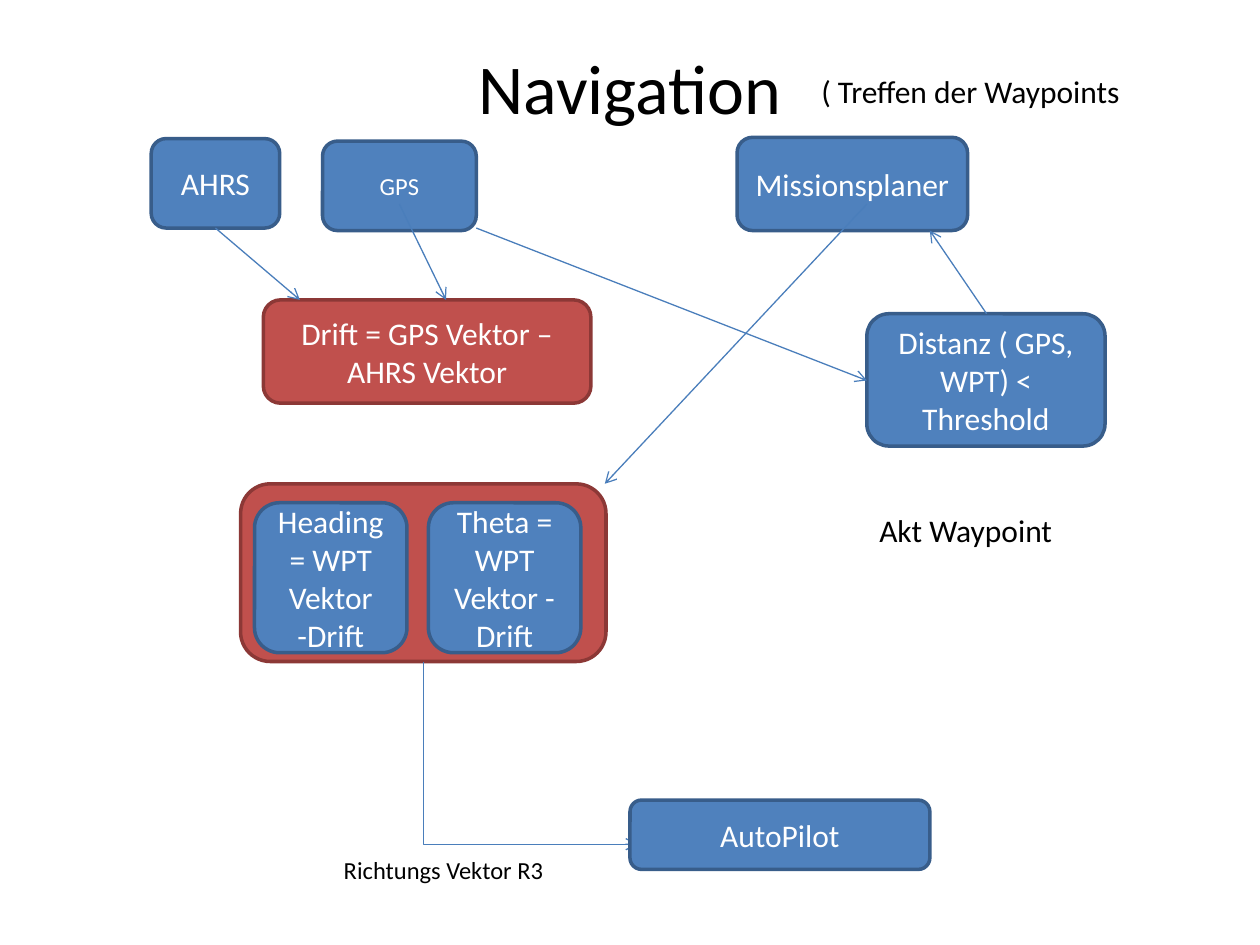
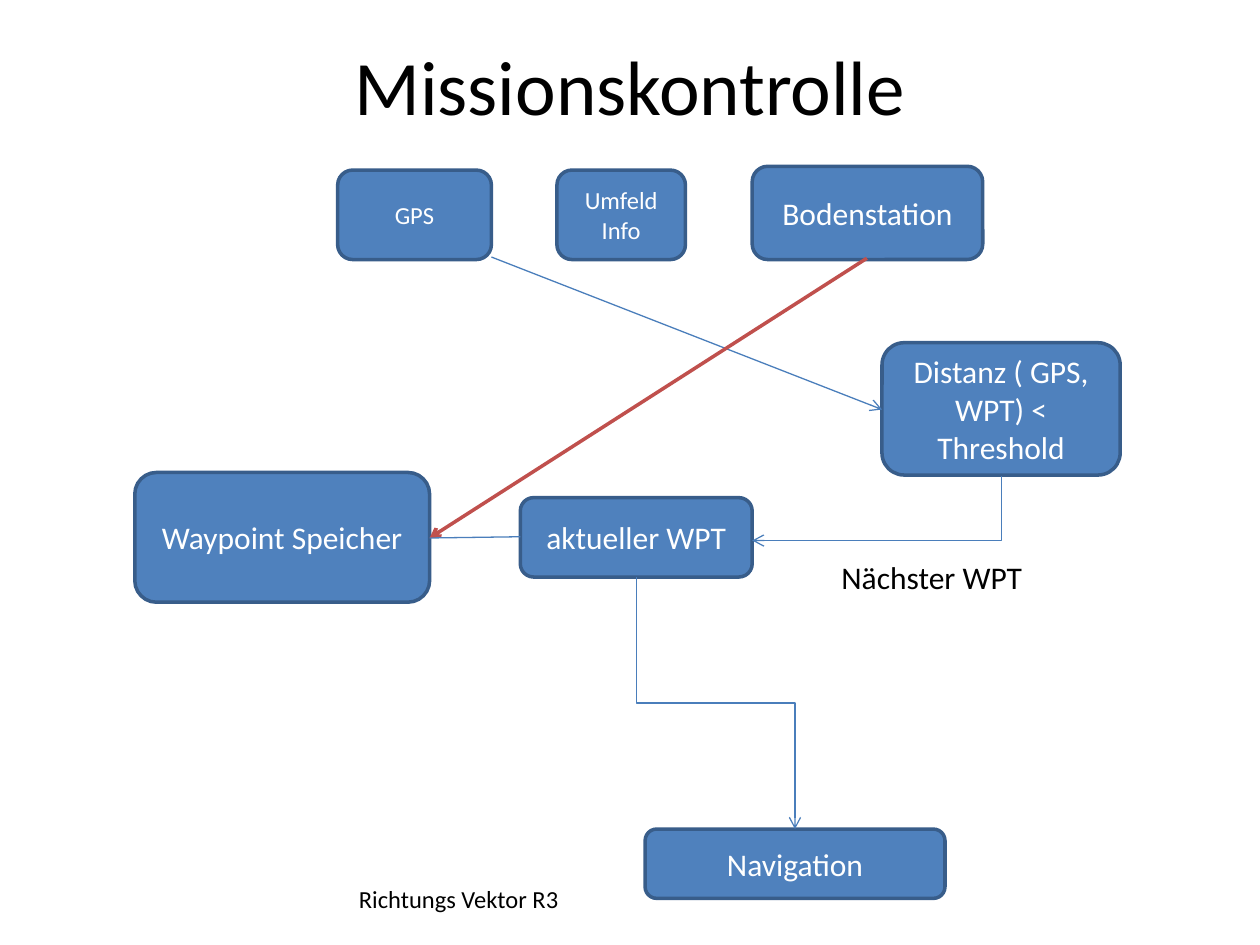
"""Build two flow charts on navigation and mission control."""
from dataclasses import dataclass
from typing import Any, Union

from lxml import etree
from pptx import Presentation, util as u
from pptx.dml import color
from pptx.enum import shapes, text
from pptx.oxml import ns

HUES = {
    "blue": "4F81BD", "navy": "385D8A", "wire": "4A7EBB",
    "red": "C0504D", "wine": "8C3836", "white": "FFFFFF", "black": "000000",
}
FACE = "Calibri"
EDGES = {"blue": "navy", "red": "wine"}
SHIFT_X, SHIFT_Y = 0.12, 0.23


@dataclass(frozen=True)
class Box:
    x: float
    y: float
    wide: float
    high: float
    words: str = ""
    size: int = 18
    fill: str = "blue"


@dataclass(frozen=True)
class Note:
    x: float
    y: float
    wide: float
    high: float
    words: str
    size: int = 18
    wrap: bool = False


@dataclass(frozen=True)
class Wire:
    x: float
    y: float
    end_x: float
    end_y: float
    hue: str = "wire"
    width: float = 0.75
    head: bool = True
    bend: str = ""


Part = Union[Box, Note, Wire]


def shade(name: str) -> color.RGBColor:
    """Return a named colour."""
    return color.RGBColor.from_string(HUES[name])


def assign(target: Any, values: dict[str, Any]) -> None:
    """Set each value on the target."""
    for name, value in values.items():
        setattr(target, name, value)


def place(shape: Any, x: float, y: float, wide: float, high: float) -> None:
    """Move and size a shape in inches."""
    assign(shape, {"left": u.Inches(x), "top": u.Inches(y),
                   "width": u.Inches(wide), "height": u.Inches(high)})


def write(frame: Any, words: str, size: int, hue: str, align: Any,
          form: dict[str, Any]) -> None:
    """Fill a text frame with one styled paragraph."""
    frame.text = words
    assign(frame, form)
    line = frame.paragraphs[0]
    line.alignment = align
    font = line.runs[0].font
    assign(font, {"name": FACE, "size": u.Pt(size)})
    font.color.rgb = shade(hue)


def draw_box(slide: Any, box: Box) -> None:
    """Draw a rounded box with centred text."""
    spot = [u.Inches(n) for n in (box.x, box.y, box.wide, box.high)]
    shape = slide.shapes.add_shape(shapes.MSO_SHAPE.ROUNDED_RECTANGLE, *spot)
    shape.shadow.inherit = False
    shape.fill.solid()
    shape.fill.fore_color.rgb = shade(box.fill)
    shape.line.color.rgb = shade(EDGES[box.fill])
    shape.line.width = u.Pt(2)
    if box.words:
        write(shape.text_frame, box.words, box.size, "white",
              text.PP_ALIGN.CENTER,
              {"word_wrap": True, "vertical_anchor": text.MSO_ANCHOR.MIDDLE})


def draw_note(slide: Any, note: Note) -> None:
    """Draw a plain label."""
    spot = [u.Inches(n) for n in (note.x, note.y, note.wide, note.high)]
    frame = slide.shapes.add_textbox(*spot).text_frame
    write(frame, note.words, note.size, "black", text.PP_ALIGN.LEFT,
          {"word_wrap": note.wrap,
           "auto_size": text.MSO_AUTO_SIZE.SHAPE_TO_FIT_TEXT})


def draw_wire(slide: Any, wire: Wire) -> None:
    """Draw a straight line, or a bent one that starts downwards."""
    ends = (wire.x, wire.y, wire.end_x, wire.end_y)
    kind = shapes.MSO_CONNECTOR.STRAIGHT
    right = wire.end_x > wire.x
    if wire.bend:
        kind = shapes.MSO_CONNECTOR.ELBOW
        mid_x, mid_y = (wire.x + wire.end_x) / 2, (wire.y + wire.end_y) / 2
        half_x = (wire.end_y - wire.y) / 2 * (-1 if right else 1)
        half_y = abs(wire.end_x - wire.x) / 2
        ends = (mid_x - half_x, mid_y - half_y, mid_x + half_x, mid_y + half_y)
    link = slide.shapes.add_connector(kind, *[u.Inches(n) for n in ends])
    link.line.color.rgb = shade(wire.hue)
    link.line.width = u.Pt(wire.width)
    props = link._element.spPr
    if wire.bend:
        link.rotation = 270 if right else 90
        props.find(ns.qn("a:prstGeom")).set("prst", wire.bend)
    if wire.head:
        tail = etree.SubElement(props.find(ns.qn("a:ln")), ns.qn("a:tailEnd"))
        tail.set("type", "arrow")
    etree.SubElement(props, ns.qn("a:effectLst"))


def shared(source: str, target: str, dx: float = 0, dy: float = 0) -> list[Part]:
    """Return the parts found on both slides, moved by an offset."""
    return [
        Note(2.63 + dx, 6.74 + dy, 2.2, 0.34, "Richtungs Vektor R3", 14, True),
        Box(2.56 + dx, 1.12 + dy, 1.22, 0.71, "GPS", 14),
        Box(5.85 + dx, 1.09 + dy, 1.83, 0.74, source),
        Box(5 + dx, 6.35 + dy, 2.38, 0.55, target),
        Box(6.88 + dx, 2.49 + dy, 1.89, 1.05, "Distanz ( GPS, WPT) < Threshold"),
        Wire(3.78 + dx, 1.81 + dy, 6.88 + dx, 3.02 + dy),
    ]


COURSE: list[Part] = [
    Box(1.91, 3.84, 2.9, 1.41, fill="red"),
    Box(1.2, 1.1, 1.02, 0.71, "AHRS"),
    Box(2.02, 3.99, 1.21, 1.19, "Heading = WPT Vektor -Drift"),
    Box(3.4, 3.99, 1.21, 1.19, "Theta = WPT Vektor - Drift"),
    Wire(3.36, 5.25, 5.06, 6.7, bend="bentConnector2"),
    *shared("Missionsplaner", "AutoPilot"),
    Note(6.88, 4.01, 1.59, 0.4, "Akt Waypoint"),
    Box(2.09, 2.38, 2.6, 0.82, "Drift = GPS Vektor – AHRS Vektor", fill="red"),
    Wire(3.17, 1.62, 3.54, 2.38),
    Wire(1.71, 1.81, 2.38, 2.38),
    Note(6.42, 0.52, 4.1, 0.4, "( Treffen der Waypoints", wrap=True),
    Wire(6.88, 1.62, 4.8, 3.84),
    Wire(7.83, 2.49, 7.38, 1.83),
]

MISSION: list[Part] = [
    *shared("Bodenstation", "Navigation", SHIFT_X, SHIFT_Y),
    Box(4.42, 1.35, 1.02, 0.71, "Umfeld Info", 14),
    Box(4.13, 3.95, 1.84, 0.63, "aktueller WPT"),
    Box(1.07, 3.75, 2.34, 1.03, "Waypoint Speicher"),
    Wire(6.88, 2.05, 3.41, 4.27, "red", 2),
    Wire(7.95, 3.78, 5.97, 4.29, bend="bentConnector2"),
    Note(6.58, 4.38, 1.64, 0.4, "Nächster WPT"),
    Wire(5.05, 4.58, 6.31, 6.58, bend="bentConnector3"),
    Wire(4.13, 4.26, 3.41, 4.27, head=False),
]

PAINT = {Box: draw_box, Note: draw_note, Wire: draw_wire}


def add_slide(deck: Any, title: str, size: int, top: float, high: float,
              parts: list[Part]) -> None:
    """Add a titled slide and draw its parts in order."""
    slide = deck.slides.add_slide(deck.slide_layouts[5])
    head = slide.shapes.title
    place(head, 0.5, top, 9, high)
    write(head.text_frame, title, size, "black", text.PP_ALIGN.CENTER,
          {"vertical_anchor": text.MSO_ANCHOR.MIDDLE,
           "auto_size": text.MSO_AUTO_SIZE.NONE})
    for part in parts:
        PAINT[type(part)](slide, part)


def main() -> None:
    """Build and save the deck."""
    deck = Presentation()
    assign(deck, {"slide_width": u.Inches(10), "slide_height": u.Inches(7.5)})
    add_slide(deck, "Navigation", 40, 0.3, 0.77, COURSE)
    add_slide(deck, "Missionskontrolle", 44, 0.05, 1.25, MISSION)
    deck.save("out.pptx")


if __name__ == "__main__":
    main()
